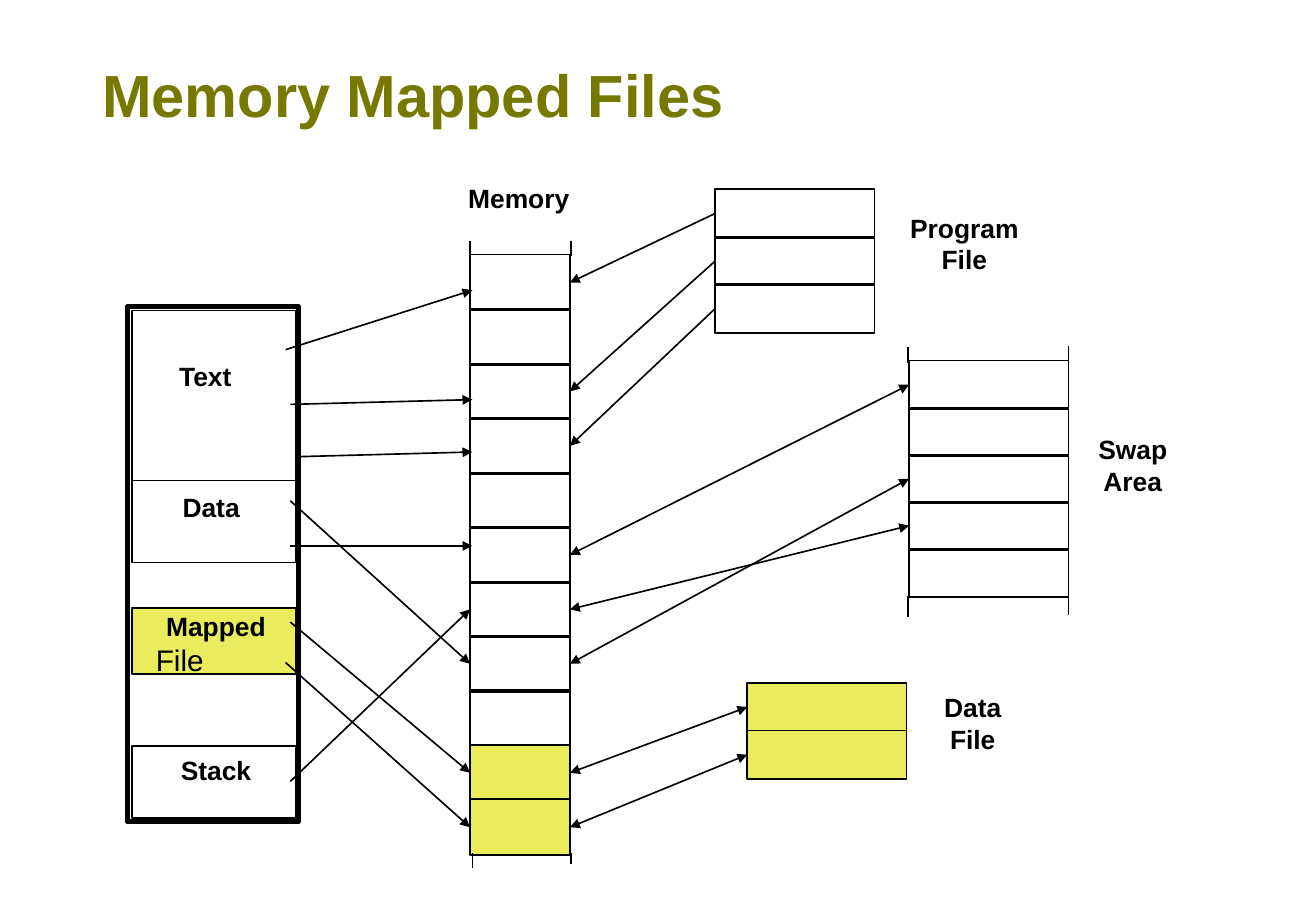
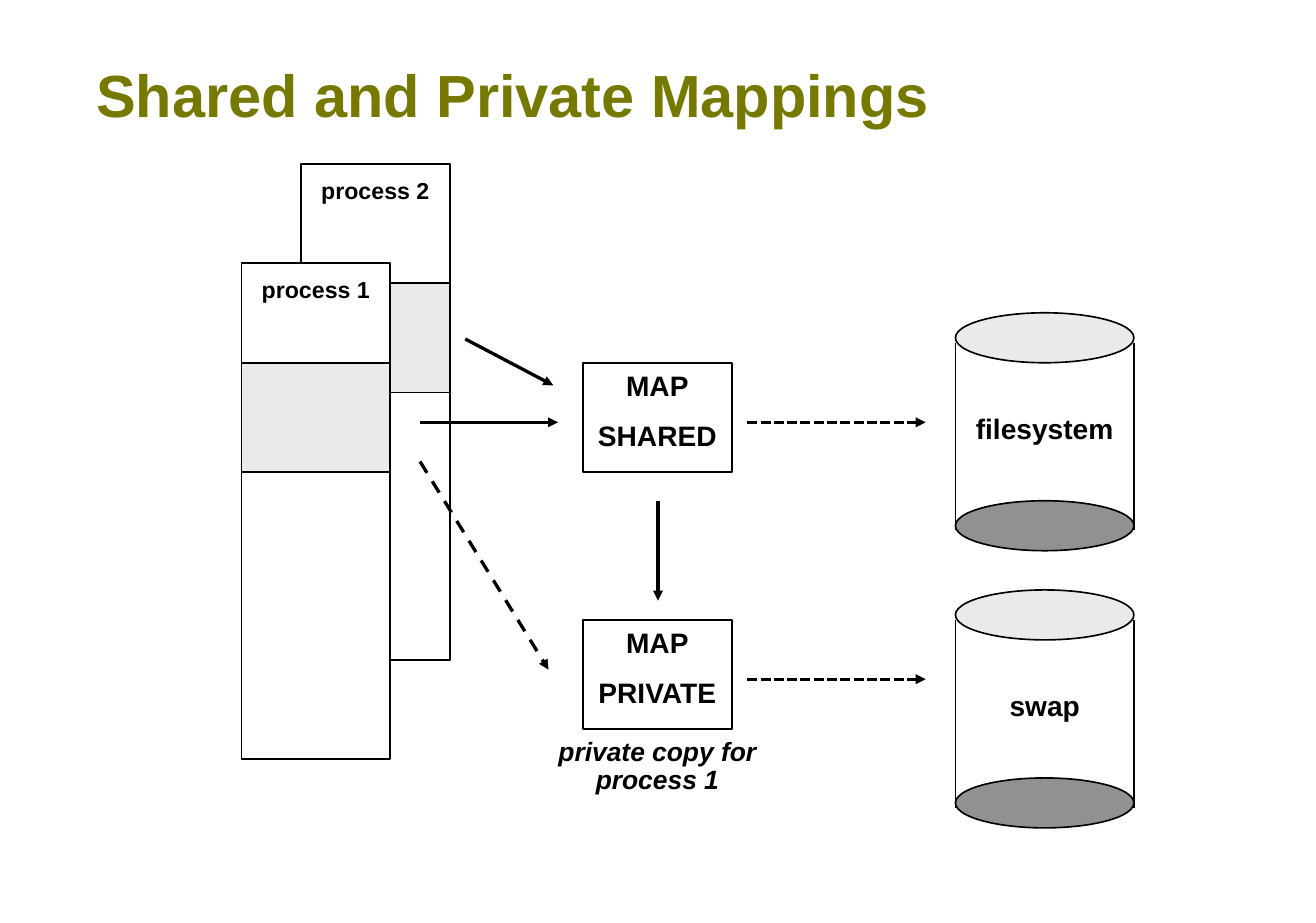
from dataclasses import dataclass, replace
from typing import Any, NamedTuple, Optional, Union

import lxml.etree
import pptx
import pptx.dml.color
import pptx.enum.dml
import pptx.enum.shapes
import pptx.enum.text
import pptx.oxml.ns
import pptx.util

Inches = pptx.util.Inches
Align = pptx.enum.text.PP_ALIGN
Preset = pptx.enum.shapes.MSO_SHAPE
Dash = pptx.enum.dml.MSO_LINE

BLACK, WHITE = "000000", "FFFFFF"
OLIVE, YELLOW = "767900", "EAEC5E"
LIGHT_GREY, DARK_GREY = "EAEAEA", "919191"
LEFT_SIDE, RIGHT_SIDE = 1, 3


class Box(NamedTuple):
    left: float
    top: float
    width: float
    height: float


class Point(NamedTuple):
    x: float
    y: float


class Anchor(NamedTuple):
    """The middle of one side of a rectangle."""
    shape: Any
    side: int


End = Union[Point, Anchor]


@dataclass(frozen=True)
class TextStyle:
    size: float
    color: str = BLACK
    bold: bool = True
    italic: bool = False
    align: Any = Align.CENTER
    line_spacing: float = 1.0
    space_before: float = 0


@dataclass(frozen=True)
class Stack:
    """Equal rectangles between a first and a last top edge."""
    left: float
    first_top: float
    last_top: float
    width: float
    height: float
    fills: tuple

    def box(self, index: int) -> Box:
        step = (self.last_top - self.first_top) / (len(self.fills) - 1)
        return Box(self.left, self.first_top + index * step, self.width, self.height)


TITLE = TextStyle(36, OLIVE, align=Align.LEFT)
LABEL = TextStyle(16)
MAPPED_FILE = TextStyle(18, bold=False, align=Align.LEFT)
NODE = TextStyle(17, line_spacing=0.9, space_before=12)
NOTE = replace(NODE, size=16, italic=True)
PROCESS = TextStyle(14, line_spacing=0.9)

MEMORY = Stack(3.95, 2.14, 6.72, 0.84, 0.47, (None,) * 9 + (YELLOW,) * 2)
PROGRAM_FILE = Stack(6.01, 1.59, 2.39, 1.34, 0.41, (None,) * 3)
SWAP_AREA = Stack(7.64, 3.03, 4.61, 1.34, 0.41, (None,) * 5)
DATA_FILE = Stack(6.28, 5.74, 6.14, 1.34, 0.41, (YELLOW,) * 2)


def rgb(color: str) -> pptx.dml.color.RGBColor:
    return pptx.dml.color.RGBColor.from_string(color)


def add_box(slide, box: Box, fill: Optional[str] = None, width: float = 1,
            preset=Preset.RECTANGLE):
    shape = slide.shapes.add_shape(preset, *map(Inches, box))
    shape.shadow.inherit = False
    if fill is None:
        shape.fill.background()
    else:
        shape.fill.solid()
        shape.fill.fore_color.rgb = rgb(fill)
    shape.line.color.rgb = rgb(BLACK)
    shape.line.width = pptx.util.Pt(width)
    return shape


def write_line(paragraph, text: str, style: TextStyle) -> None:
    paragraph.alignment = style.align
    paragraph.line_spacing = style.line_spacing
    paragraph.space_before = pptx.util.Pt(style.space_before)
    run = paragraph.add_run()
    run.text = text
    run.font.name = "Arial"
    run.font.size = pptx.util.Pt(style.size)
    run.font.bold = style.bold
    run.font.italic = style.italic
    run.font.color.rgb = rgb(style.color)


def add_text(slide, box: Box, lines: tuple, style: TextStyle):
    frame = slide.shapes.add_textbox(*map(Inches, box)).text_frame
    frame.word_wrap = True
    frame.margin_left = frame.margin_right = 0
    frame.margin_top = frame.margin_bottom = 0
    for index, text in enumerate(lines):
        paragraph = frame.add_paragraph() if index else frame.paragraphs[0]
        write_line(paragraph, text, style)
    return frame


def add_line(slide, start: End, end: End, width: float = 1, dash=None,
             head: bool = False, tail: bool = False) -> None:
    """Draw a straight line; head and tail are arrowheads at start and end."""
    points = [place if isinstance(place, Point) else Point(0, 0)
              for place in (start, end)]
    connector = slide.shapes.add_connector(
        pptx.enum.shapes.MSO_CONNECTOR.STRAIGHT,
        *(Inches(value) for point in points for value in point))
    if isinstance(start, Anchor):
        connector.begin_connect(start.shape, start.side)
    if isinstance(end, Anchor):
        connector.end_connect(end.shape, end.side)
    connector.line.color.rgb = rgb(BLACK)
    connector.line.width = pptx.util.Pt(width)
    if dash is not None:
        connector.line.dash_style = dash
    properties = connector._element.spPr
    qualified = pptx.oxml.ns.qn
    outline = properties.find(qualified("a:ln"))
    for tag, wanted in (("a:headEnd", head), ("a:tailEnd", tail)):
        if wanted:
            lxml.etree.SubElement(outline, qualified(tag), type="triangle")
    lxml.etree.SubElement(properties, qualified("a:effectLst"))


def add_titled_slide(presentation, title: str, left: float):
    slide = presentation.slides.add_slide(presentation.slide_layouts[6])
    add_text(slide, Box(left, 0.49, 9.64, 0.68), (title,), TITLE)
    return slide


def add_stack(slide, stack: Stack) -> list:
    return [add_box(slide, stack.box(index), fill)
            for index, fill in enumerate(stack.fills)]


def add_address_space(slide) -> None:
    add_box(slide, Box(1.07, 2.58, 1.44, 4.33), width=3)
    for top, height, fill in ((2.61, 1.43, None), (4.04, 0.69, None),
                              (6.27, 0.61, None), (5.11, 0.56, YELLOW)):
        add_box(slide, Box(1.11, top, 1.38, height), fill)
    for text, box in (("Text", Box(1.33, 3.03, 0.79, 0.44)),
                      ("Data", Box(1.36, 4.13, 0.83, 0.44)),
                      ("Stack", Box(1.32, 6.34, 0.99, 0.44))):
        add_text(slide, box, (text,), LABEL)
    frame = add_text(slide, Box(1.31, 5.13, 1.01, 0.64), ("Mapped",), LABEL)
    write_line(frame.add_paragraph(), "File", MAPPED_FILE)


def build_memory_mapped_files(presentation) -> None:
    slide = add_titled_slide(presentation, "Memory Mapped Files", 0.86)
    add_address_space(slide)
    memory, program, swap, data = [
        add_stack(slide, stack)
        for stack in (MEMORY, PROGRAM_FILE, SWAP_AREA, DATA_FILE)]

    for x, y, end in (
            (2.4, 2.94, Point(3.97, 2.44)),
            (2.44, 3.4, Point(3.97, 3.36)),
            (2.49, 3.84, Point(3.97, 3.8)),
            (2.44, 4.21, Anchor(memory[7], LEFT_SIDE)),
            (2.44, 4.59, Point(3.97, 4.59)),
            (2.44, 6.57, Anchor(memory[6], LEFT_SIDE)),
            (2.44, 5.23, Anchor(memory[9], LEFT_SIDE)),
            (2.4, 5.57, Anchor(memory[10], LEFT_SIDE))):
        add_line(slide, Point(x, y), end, tail=True)

    for page, block, both_ways in (
            (0, program[0], False), (2, program[1], False), (3, program[2], False),
            (5, swap[0], True), (7, swap[2], True), (6, swap[3], True),
            (9, data[0], True), (10, data[1], True)):
        add_line(slide, Anchor(memory[page], RIGHT_SIDE), Anchor(block, LEFT_SIDE),
                 head=True, tail=both_ways)

    for lines, box in ((("Program", "File"), Box(7.54, 1.78, 1.13, 0.64)),
                       (("Swap", "Area"), Box(9.14, 3.64, 0.76, 0.64)),
                       (("Data", "File"), Box(7.85, 5.81, 0.65, 0.64)),
                       (("Memory",), Box(3.83, 1.53, 1.06, 0.34))):
        add_text(slide, box, lines, LABEL)

    for x, inner, outer in ((7.63, 3.05, 2.92), (8.98, 3.05, 2.91),
                            (8.98, 5.01, 5.17), (7.63, 5.01, 5.19),
                            (3.95, 2.15, 2.03), (4.8, 2.15, 2.03),
                            (4.8, 7.17, 7.26), (3.97, 7.17, 7.3)):
        add_line(slide, Point(x, inner), Point(x, outer))


def add_process(slide, name: str, left: float, top: float, mapping_top: float) -> None:
    add_box(slide, Box(left, top, 1.25, 4.17), WHITE)
    add_box(slide, Box(left, mapping_top, 1.25, 0.92), LIGHT_GREY)
    add_text(slide, Box(left, top + 0.13, 1.25, 0.31), (name,), PROCESS)


def add_mapping(slide, kind: str, top: float) -> None:
    add_box(slide, Box(4.9, top, 1.25, 0.92), WHITE)
    add_text(slide, Box(4.86, top + 0.08, 1.33, 0.78), ("MAP", kind), NODE)


def add_disk(slide, name: str, top: float) -> None:
    left, width = 8.03, 1.5
    for offset, fill in ((0, LIGHT_GREY), (1.58, DARK_GREY)):
        add_box(slide, Box(left, top + offset, width, 0.42), fill, preset=Preset.OVAL)
    for x in (left, left + width):
        add_line(slide, Point(x, top + 0.25), Point(x, top + 1.83))
    add_text(slide, Box(left + 0.04, top + 0.86, 1.42, 0.36), (name,), NODE)


def build_shared_and_private_mappings(presentation) -> None:
    slide = add_titled_slide(presentation, "Shared and Private Mappings", 0.81)
    add_process(slide, "process 2", 2.53, 1.38, 2.38)
    add_process(slide, "process 1", 2.03, 2.21, 3.05)
    add_mapping(slide, "SHARED", 3.05)
    add_mapping(slide, "PRIVATE", 5.21)
    add_disk(slide, "filesystem", 2.63)
    add_disk(slide, "swap", 4.96)
    for start, end, dash in (
            (Point(3.53, 3.55), Point(4.69, 3.55), None),
            (Point(5.53, 4.21), Point(5.53, 5.05), None),
            (Point(3.91, 2.85), Point(4.65, 3.24), None),
            (Point(6.28, 3.55), Point(7.78, 3.55), Dash.SQUARE_DOT),
            (Point(6.28, 5.71), Point(7.78, 5.71), Dash.SQUARE_DOT),
            (Point(3.53, 3.88), Point(4.61, 5.63), Dash.DASH)):
        add_line(slide, start, end, width=2, dash=dash, tail=True)
    add_text(slide, Box(4.69, 6.21, 1.67, 0.58), ("private copy for process 1",), NOTE)


def main() -> None:
    presentation = pptx.Presentation()
    presentation.slide_width = Inches(11.06)
    presentation.slide_height = Inches(7.76)
    build_memory_mapped_files(presentation)
    build_shared_and_private_mappings(presentation)
    presentation.save("out.pptx")


if __name__ == "__main__":
    main()
